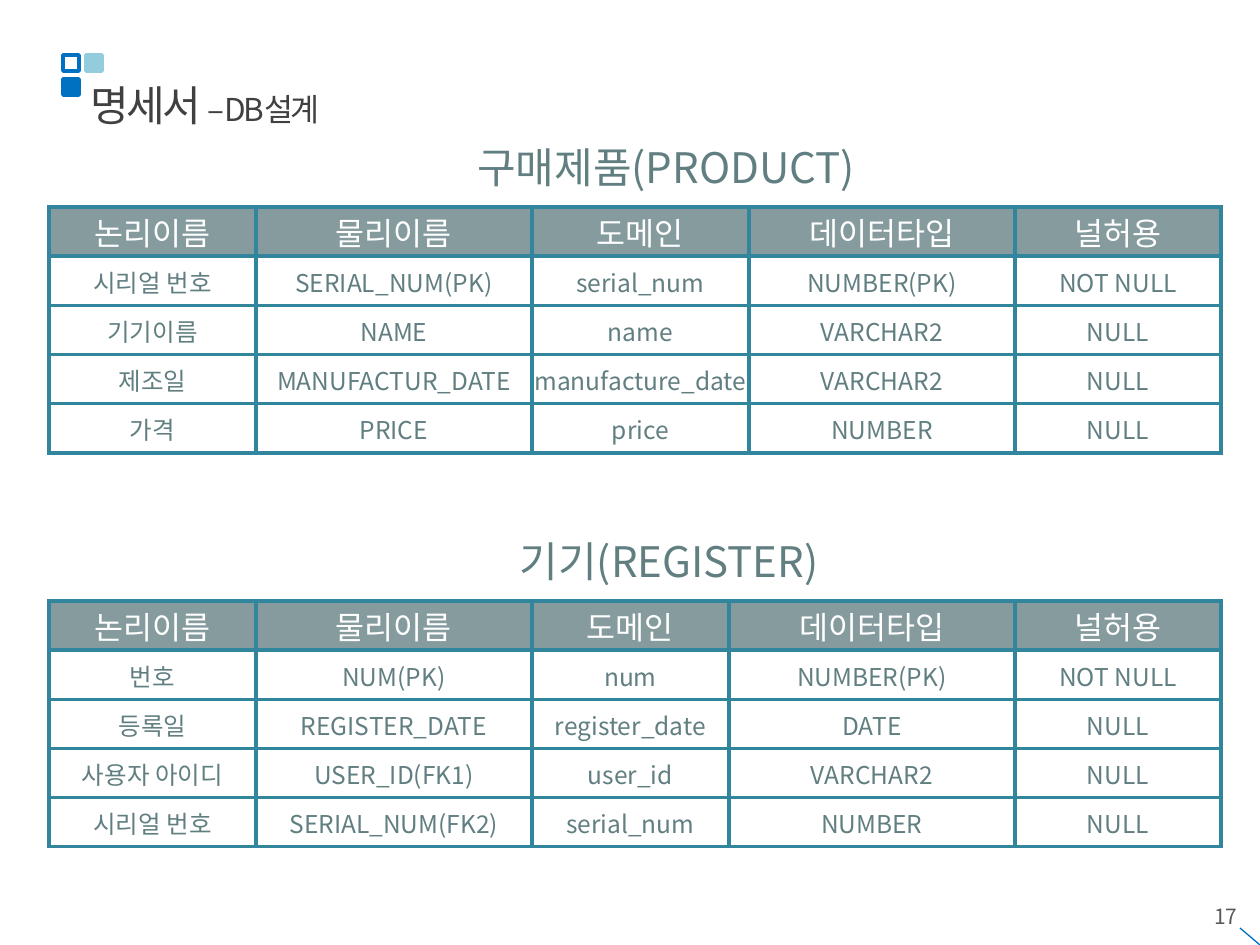
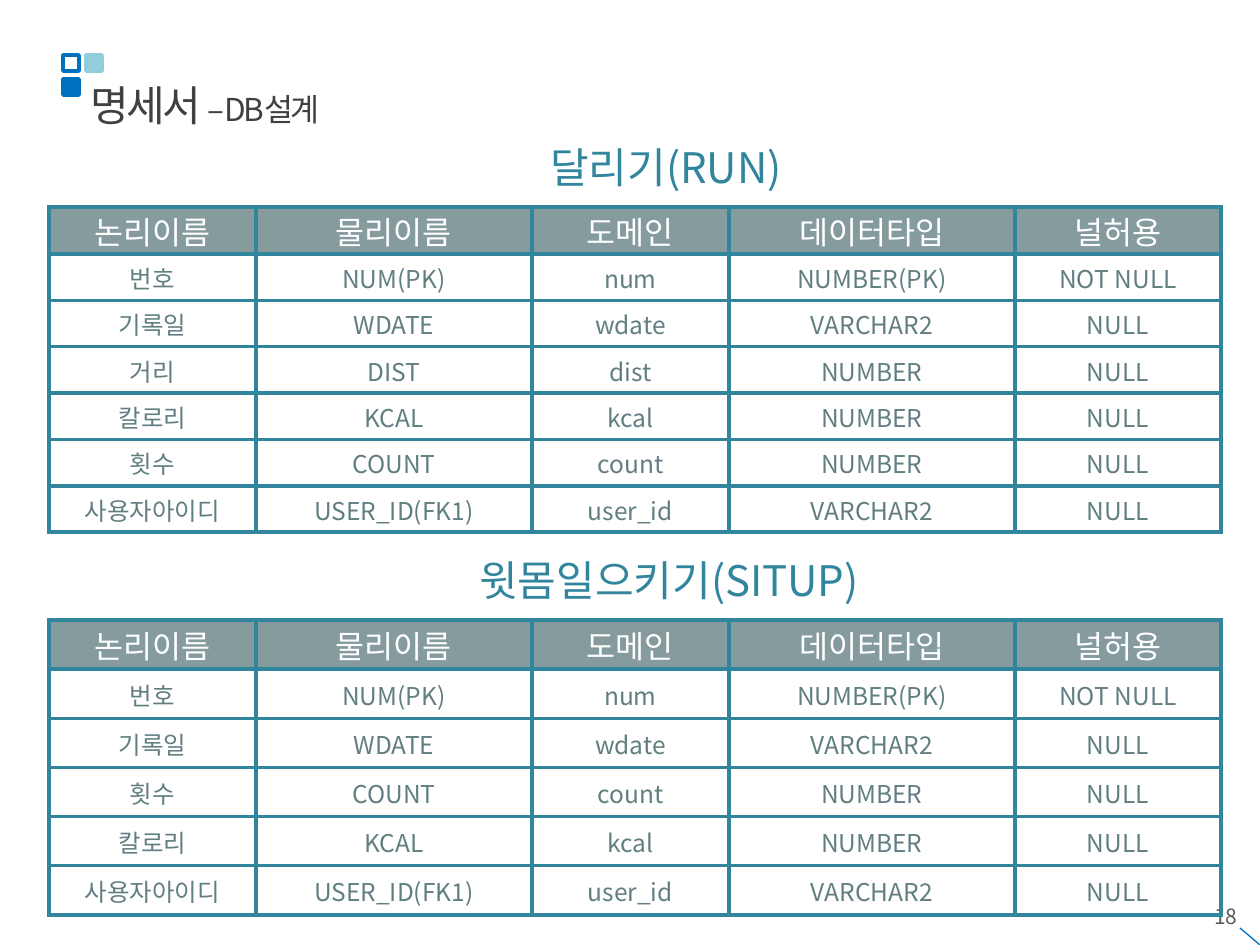
from lxml import etree
from pptx import Presentation
from pptx import util as u
from pptx.dml.color import RGBColor
from pptx.enum import shapes, text
from pptx.oxml import ns

SCALE = 914400 / 126
FONT = "Noto Sans CJK KR"
COLORS = {
    "title": "404040", "number": "595959", "accent": "0070C0", "pale": "93CDDD",
    "slate": "617E81", "teal": "31859C", "white": "FFFFFF",
}
FORMATS = {
    "title": {"size": u.Pt(24), "color": "title", "spc": "-150"},
    "subtitle": {"size": u.Pt(18), "color": "title", "spc": "-150"},
    "number": {"size": u.Pt(12), "color": "number"},
    "slate": {"size": u.Pt(24), "color": "slate"},
    "teal": {"size": u.Pt(24), "color": "teal"},
    "header": {"size": u.Pt(18), "color": "white"},
    "body": {"size": u.Pt(14), "color": "slate"},
}
CELL = {
    "margin_left": u.Inches(0.01), "margin_right": u.Inches(0.01),
    "margin_top": u.Inches(0.01), "margin_bottom": 0,
    "vertical_anchor": text.MSO_ANCHOR.MIDDLE,
}
HEADER = ("논리이름", "물리이름", "도메인", "데이터타입", "널허용")
WIDE_DOMAIN = (207, 276, 217, 266, 206)
NARROW_DOMAIN = (207, 276, 197, 286, 206)
FIRST_HEADING = (395, 444)
SECOND_HEADING = (384, 472)
NUM = ("번호", "NUM(PK)", "num", "NUMBER(PK)", "NOT NULL")
WDATE = ("기록일", "WDATE", "wdate", "VARCHAR2", "NULL")
DIST = ("거리", "DIST", "dist", "NUMBER", "NULL")
KCAL = ("칼로리", "KCAL", "kcal", "NUMBER", "NULL")
COUNT = ("횟수", "COUNT", "count", "NUMBER", "NULL")
USER = ("사용자아이디", "USER_ID(FK1)", "user_id", "VARCHAR2", "NULL")
PRODUCT_ROWS = (
    ("시리얼 번호", "SERIAL_NUM(PK)", "serial_num", "NUMBER(PK)", "NOT NULL"),
    ("기기이름", "NAME", "name", "VARCHAR2", "NULL"),
    ("제조일", "MANUFACTUR_DATE", "manufacture_date", "VARCHAR2", "NULL"),
    ("가격", "PRICE", "price", "NUMBER", "NULL"),
)
REGISTER_ROWS = (
    NUM,
    ("등록일", "REGISTER_DATE", "register_date", "DATE", "NULL"),
    ("사용자 아이디", "USER_ID(FK1)", "user_id", "VARCHAR2", "NULL"),
    ("시리얼 번호", "SERIAL_NUM(FK2)", "serial_num", "NUMBER", "NULL"),
)
RUN_ROWS = (NUM, WDATE, DIST, KCAL, COUNT, USER)
SITUP_ROWS = (NUM, WDATE, COUNT, KCAL, USER)
SLIDES = (
    (17, "slate", (
        ("구매제품(PRODUCT)", (49, 207, 1172, 246), FIRST_HEADING, WIDE_DOMAIN, PRODUCT_ROWS),
        ("기기(REGISTER)", (49, 601, 1172, 246), SECOND_HEADING, NARROW_DOMAIN, REGISTER_ROWS),
    )),
    (18, "teal", (
        ("달리기(RUN)", (49, 207, 1172, 325), FIRST_HEADING, NARROW_DOMAIN, RUN_ROWS),
        ("윗몸일으키기(SITUP)", (49, 620, 1172, 295), SECOND_HEADING, NARROW_DOMAIN, SITUP_ROWS),
    )),
)


def px(*lengths):
    """Turn px lengths into a list of EMU."""
    return [u.Emu(round(length * SCALE)) for length in lengths]


def rgb(name):
    """Return a named colour."""
    return RGBColor.from_string(COLORS[name])


def set_attributes(target, values):
    """Set every attribute in a dict of format values."""
    for name, value in values.items():
        setattr(target, name, value)


def add_run(paragraph, content, style):
    """Add a run in one of the shared text formats."""
    run = paragraph.add_run()
    run.text = content
    values = FORMATS[style]
    set_attributes(run.font, {"name": FONT, "size": values["size"], "bold": False})
    run.font.color.rgb = rgb(values["color"])
    properties = run._r.get_or_add_rPr()
    etree.SubElement(properties, ns.qn("a:ea"), typeface=FONT)
    if "spc" in values:
        properties.set("spc", values["spc"])


def add_text(slide, box, runs, alignment, grows=True):
    """Add a one-paragraph text box."""
    frame = slide.shapes.add_textbox(*px(*box)).text_frame
    sizing = text.MSO_AUTO_SIZE
    set_attributes(frame, {
        "word_wrap": True,
        "auto_size": sizing.SHAPE_TO_FIT_TEXT if grows else sizing.NONE,
    })
    paragraph = frame.paragraphs[0]
    paragraph.alignment = alignment
    for content, style in runs:
        add_run(paragraph, content, style)


def add_title(slide, box):
    """Add the three marker squares and the title beside them."""
    left, top, width, height = box
    squares = ((0, 24, "accent", True), (0, 0, "accent", False), (23, 0, "pale", True))
    for x, y, color, filled in squares:
        square = slide.shapes.add_shape(
            shapes.MSO_SHAPE.RECTANGLE, *px(left + x, top + y, 16, 16))
        square.shadow.inherit = False
        square.line.color.rgb = rgb(color)
        square.line.width = u.Pt(2)
        if filled:
            square.fill.solid()
            square.fill.fore_color.rgb = rgb(color)
        else:
            square.fill.background()
    add_text(slide, (left + 15, top + 18, width - 15, height - 18),
             (("명세서 ", "title"), ("–DB설계", "subtitle")), text.PP_ALIGN.LEFT)


def add_footer(slide, box, number):
    """Add the page number and the corner line."""
    left, top, width, height = box
    right, bottom = left + width, top + height
    add_text(slide, (left, top, width - 10, 50), ((str(number), "number"),),
             text.PP_ALIGN.RIGHT, grows=False)
    corner = slide.shapes.add_connector(
        shapes.MSO_CONNECTOR.STRAIGHT, *px(right, bottom, right - 20, bottom - 17))
    corner.line.color.rgb = rgb("accent")
    corner.line.width = u.Pt(0.75)
    etree.SubElement(corner._element.spPr, ns.qn("a:effectLst"))


def format_cell(cell, content, is_header):
    """Fill one table cell and draw its borders."""
    set_attributes(cell, CELL)
    properties = cell._tc.get_or_add_tcPr()
    for side in "LRTB":
        border = etree.SubElement(properties, ns.qn(f"a:ln{side}"), w=str(u.Pt(2.25)))
        fill = etree.SubElement(border, ns.qn("a:solidFill"))
        etree.SubElement(fill, ns.qn("a:srgbClr"), val=COLORS["teal"])
    if is_header:
        cell.fill.solid()
        cell.fill.fore_color.rgb = rgb("slate")
        shade = properties.find(f"{ns.qn('a:solidFill')}/{ns.qn('a:srgbClr')}")
        etree.SubElement(shade, ns.qn("a:alpha"), val="77000")
    else:
        cell.fill.background()
    paragraph = cell.text_frame.paragraphs[0]
    paragraph.alignment = text.PP_ALIGN.CENTER
    add_run(paragraph, content, "header" if is_header else "body")


def add_entity(slide, box, heading, heading_span, color, widths, rows):
    """Add a table in the box with its heading above."""
    left, top, width, height = box
    offset, heading_width = heading_span
    lines = (HEADER, *rows)
    table = slide.shapes.add_table(len(lines), len(HEADER), *px(*box)).table
    set_attributes(table, {"first_row": False, "horz_banding": False})
    for column, column_width in zip(table.columns, px(*widths)):
        column.width = column_width
    for index, (row, line) in enumerate(zip(table.rows, lines)):
        row.height = px(height / len(lines))[0]
        for cell, content in zip(row.cells, line):
            format_cell(cell, content, index == 0)
    add_text(slide, (left + offset, top - 72, heading_width, 63),
             ((heading, color),), text.PP_ALIGN.CENTER)


def add_design_slide(presentation, number, color, entities):
    """Add one database design slide."""
    slide = presentation.slides.add_slide(presentation.slide_layouts[6])
    add_footer(slide, (956, 897, 304, 48), number)
    for heading, box, heading_span, widths, rows in entities:
        add_entity(slide, box, heading, heading_span, color, widths, rows)
    add_title(slide, (63, 55, 1097, 81))


def main():
    """Build and save the presentation."""
    presentation = Presentation()
    width, height = px(1260, 945)
    set_attributes(presentation, {"slide_width": width, "slide_height": height})
    for number, color, entities in SLIDES:
        add_design_slide(presentation, number, color, entities)
    presentation.save("out.pptx")


if __name__ == "__main__":
    main()
